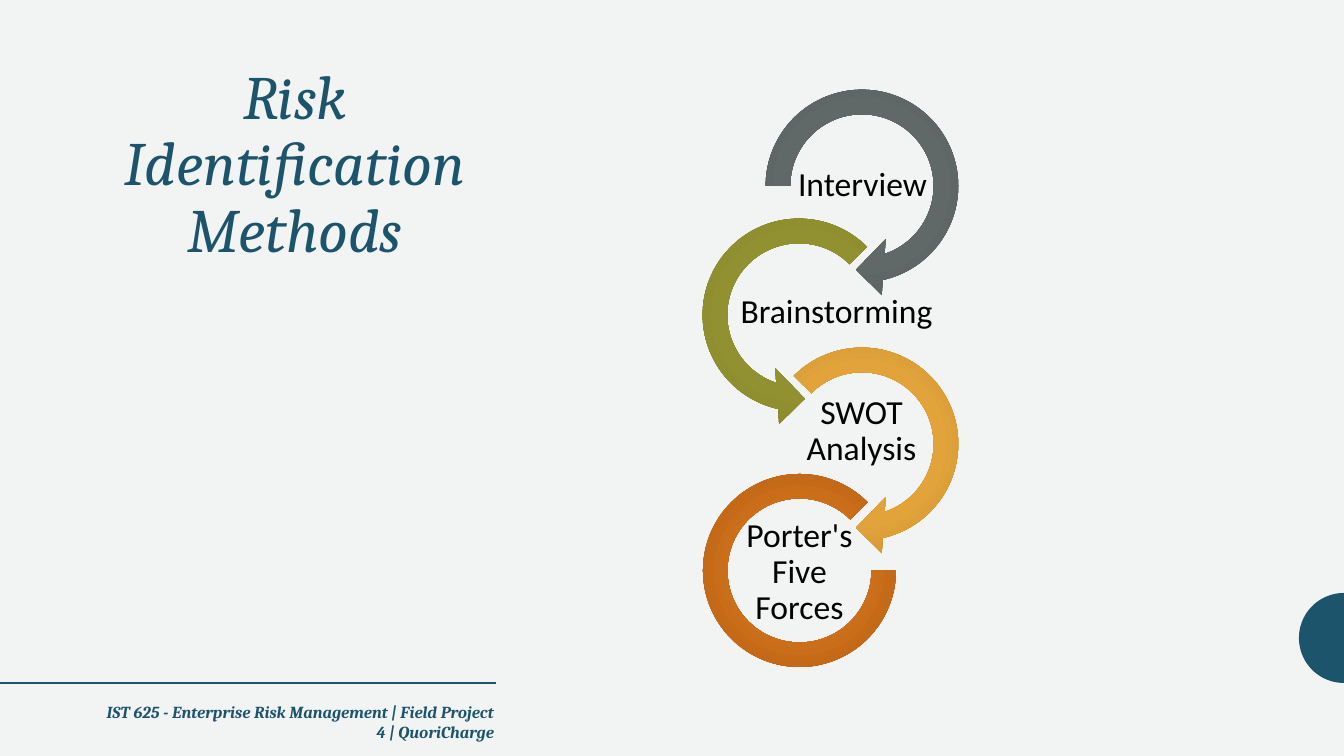
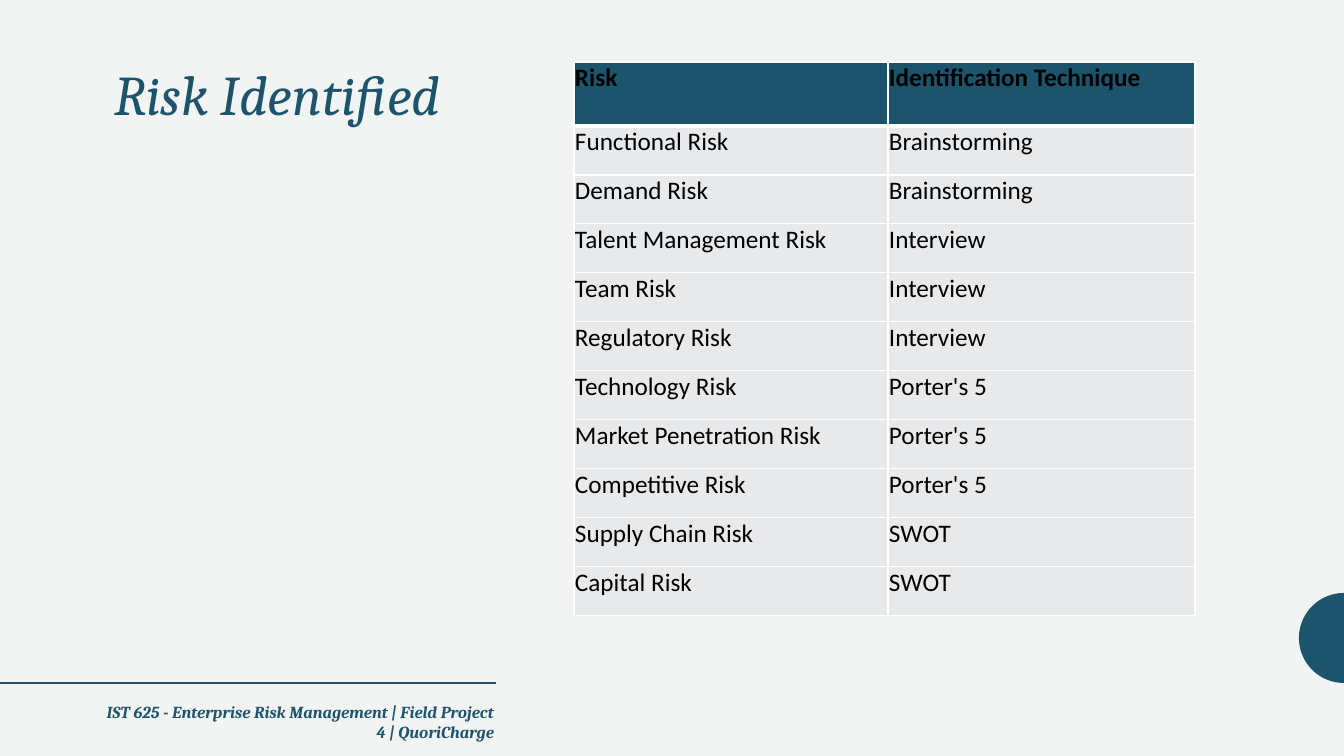
from math import cos, pi, sin

from lxml.etree import SubElement
from pptx import Presentation
from pptx.dml.color import RGBColor
from pptx.enum.shapes import MSO_CONNECTOR, MSO_SHAPE
from pptx.enum.text import MSO_ANCHOR, PP_ALIGN
from pptx.oxml.ns import qn
from pptx.util import Emu, Pt

SCALE = 914400 / 100.8
WIDTH, HEIGHT = 1344, 756

PAPER = RGBColor(0xF2, 0xF3, 0xF3)
TEAL = RGBColor(0x1C, 0x54, 0x6B)
BLACK = RGBColor(0x00, 0x00, 0x00)
WHITE = RGBColor(0xFF, 0xFF, 0xFF)
ROW_GRAY = RGBColor(0xE8, 0xE9, 0xEB)
SLATE = [RGBColor(0x62, 0x6B, 0x6A), RGBColor(0x60, 0x69, 0x68), RGBColor(0x51, 0x5A, 0x59)]
OLIVE = [RGBColor(0x91, 0x91, 0x35), RGBColor(0x91, 0x91, 0x31), RGBColor(0x7F, 0x7F, 0x25)]
AMBER = [RGBColor(0xDC, 0xA4, 0x45), RGBColor(0xE1, 0xA3, 0x3A), RGBColor(0xC5, 0x8C, 0x2B)]
RUST = [RGBColor(0xCA, 0x72, 0x21), RGBColor(0xCC, 0x70, 0x1B), RGBColor(0xB4, 0x5E, 0x10)]

FOOTER = "IST 625 - Enterprise Risk Management | Field Project 4 | QuoriCharge"

METHODS = [
    ("Interview", (709, 102, 307, 168), MSO_SHAPE.CIRCULAR_ARROW,
     (750, 74, 224, 224), (0.11, 11.42, 45, 108, 0.125), SLATE),
    ("Brainstorming", (685, 222, 303, 181), MSO_SHAPE.LEFT_CIRCULAR_ARROW,
     (687, 203, 224, 224), (0.11, 11.42, 63, 189, 0.125), OLIVE),
    ("SWOT Analysis", (799, 400, 125, 63), MSO_SHAPE.CIRCULAR_ARROW,
     (750, 332, 224, 224), (0.11, 11.42, 45, 135, 0.125), AMBER),
    ("Porter's Five Forces", (737, 541, 125, 63), MSO_SHAPE.BLOCK_ARC,
     (703, 474, 193, 193), (0, 189, 0.127), RUST),
]

RISKS = [
    ("Risk", "Identification Technique"),
    ("Functional Risk", "Brainstorming"),
    ("Demand Risk", "Brainstorming"),
    ("Talent Management Risk", "Interview"),
    ("Team Risk", "Interview"),
    ("Regulatory Risk", "Interview"),
    ("Technology Risk", "Porter's 5"),
    ("Market Penetration Risk", "Porter's 5"),
    ("Competitive Risk", "Porter's 5"),
    ("Supply Chain Risk", "SWOT"),
    ("Capital Risk", "SWOT"),
]


def px(length):
    return Emu(round(length * SCALE))


def write(frame, text, *, size, font="Calibri", color=BLACK, bold=False,
          italic=False, align=PP_ALIGN.LEFT, spacing=1.0):
    paragraph = frame.paragraphs[0]
    paragraph.alignment = align
    paragraph.line_spacing = spacing
    run = paragraph.add_run()
    run.text = text
    run.font.name = font
    run.font.size = Pt(size)
    run.font.bold = bold
    run.font.italic = italic
    run.font.color.rgb = color


def add_color(parent, color):
    fill = SubElement(parent, qn("a:solidFill"))
    SubElement(fill, qn("a:srgbClr"), val=str(color))


def fill_radial(shape, colors):
    shape.fill.gradient()
    gradient = shape._element.spPr.find(qn("a:gradFill"))
    for child in list(gradient):
        gradient.remove(child)
    stops = SubElement(gradient, qn("a:gsLst"))
    for index, color in enumerate(colors):
        stop = SubElement(stops, qn("a:gs"), pos=str(index * 50000))
        SubElement(stop, qn("a:srgbClr"), val=str(color))
    circle = SubElement(gradient, qn("a:path"), path="circle")
    SubElement(circle, qn("a:fillToRect"), **dict.fromkeys("ltrb", "100000"))


def set_borders(cell, top, bottom):
    properties = cell._tc.get_or_add_tcPr()
    widths = {"lnL": 1, "lnR": 1, "lnT": top, "lnB": bottom}
    for position, (side, width) in enumerate(widths.items()):
        border = SubElement(properties, qn(f"a:{side}"), w=str(Pt(width)))
        add_color(border, WHITE)
        properties.insert(position, border)


class Deck:
    def __init__(self):
        self.presentation = Presentation()
        self.presentation.slide_width = px(WIDTH)
        self.presentation.slide_height = px(HEIGHT)
        background = self.presentation.slide_master.background.fill
        background.solid()
        background.fore_color.rgb = PAPER
        self.slide = None

    def start(self, title, box, **style):
        blank = self.presentation.slide_layouts[6]
        self.slide = self.presentation.slides.add_slide(blank)
        self.half_disc(WIDTH, 638, 45)
        self.rule(0, 683, 496)
        self.text(title, box, font="Cambria", color=TEAL, italic=True,
                  spacing=0.9, **style)
        self.text(FOOTER, (84, 697, 420, 40), size=12, font="Cambria",
                  color=TEAL, bold=True, italic=True, align=PP_ALIGN.RIGHT)

    def half_disc(self, center_x, center_y, radius, steps=48):
        angles = [pi / 2 + pi * step / steps for step in range(steps + 1)]
        points = [(px(center_x + radius * cos(angle)),
                   px(center_y + radius * sin(angle))) for angle in angles]
        builder = self.slide.shapes.build_freeform(*points[0])
        builder.add_line_segments(points[1:], close=True)
        disc = builder.convert_to_shape()
        disc.shadow.inherit = False
        disc.fill.solid()
        disc.fill.fore_color.rgb = TEAL
        disc.line.fill.background()

    def rule(self, left, top, right):
        line = self.slide.shapes.add_connector(
            MSO_CONNECTOR.STRAIGHT, px(left), px(top), px(right), px(top))
        line.line.color.rgb = TEAL
        line.line.width = Pt(2)
        SubElement(line._element.spPr, qn("a:effectLst"))

    def text(self, text, box, *, inset=None, anchor=MSO_ANCHOR.TOP, **style):
        frame = self.slide.shapes.add_textbox(*map(px, box)).text_frame
        frame.word_wrap = True
        frame.vertical_anchor = anchor
        if inset is not None:
            frame.margin_left = frame.margin_right = px(inset)
            frame.margin_top = frame.margin_bottom = px(inset)
        write(frame, text, **style)

    def ring(self, preset, box, adjustments, colors):
        ring = self.slide.shapes.add_shape(preset, *map(px, box))
        ring.shadow.inherit = False
        ring.line.fill.background()
        for index, value in enumerate(adjustments):
            ring.adjustments[index] = value
        fill_radial(ring, colors)

    def table(self, rows, left, top, widths, header_height, row_height):
        heights = [header_height] + [row_height] * (len(rows) - 1)
        table = self.slide.shapes.add_table(
            len(rows), len(widths), px(left), px(top),
            px(sum(widths)), px(sum(heights))).table
        table.first_row = table.horz_banding = False
        for column, width in zip(table.columns, widths):
            column.width = px(width)
        for index, (row, values) in enumerate(zip(table.rows, rows)):
            row.height = px(heights[index])
            header = index == 0
            for cell, value in zip(row.cells, values):
                cell.margin_left = cell.margin_right = cell.margin_top = px(1)
                cell.margin_bottom = 0
                cell.fill.solid()
                cell.fill.fore_color.rgb = TEAL if header else ROW_GRAY
                set_borders(cell, top=3 if index == 1 else 1,
                            bottom=3 if header else 1)
                write(cell.text_frame, value, size=18, bold=header)

    def save(self):
        self.presentation.save("out.pptx")


def main():
    deck = Deck()

    deck.start("Risk Identification Methods", (84, 61, 422, 546),
               size=44, align=PP_ALIGN.CENTER)
    for method, label_box, preset, ring_box, adjustments, colors in METHODS:
        deck.ring(preset, ring_box, adjustments, colors)
        deck.text(method, label_box, inset=2, anchor=MSO_ANCHOR.MIDDLE,
                  size=24, align=PP_ALIGN.CENTER, spacing=0.9)

    deck.start("Risk Identified", (28, 62, 422, 546),
               size=40, align=PP_ALIGN.RIGHT)
    deck.table(RISKS, 574, 62, (314, 307), header_height=64, row_height=49)

    deck.save()


if __name__ == "__main__":
    main()
